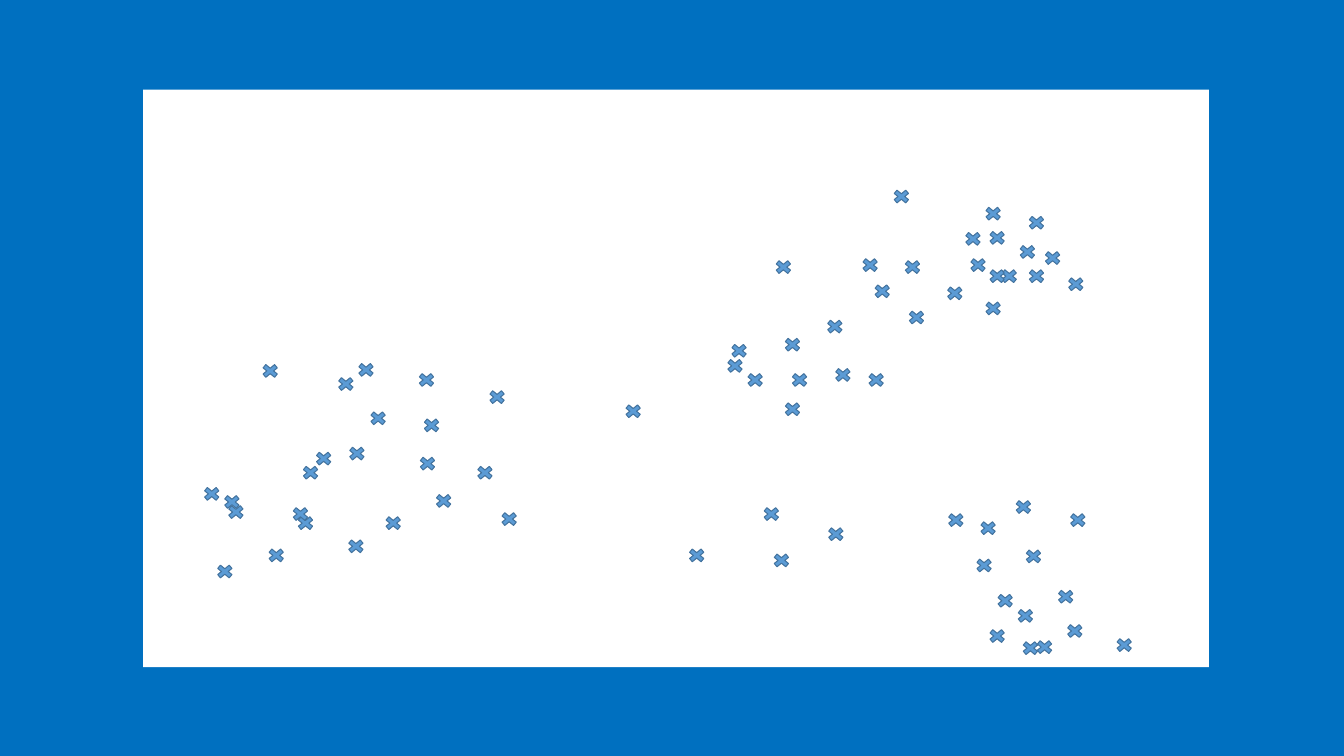
from dataclasses import dataclass

from pptx import Presentation
from pptx.dml.color import RGBColor
from pptx.enum.shapes import MSO_SHAPE
from pptx.util import Inches, Pt

RECTANGLE = MSO_SHAPE.RECTANGLE
CROSS = MSO_SHAPE.MATH_MULTIPLY

SLIDE_SIZE = (13.33, 7.5)
PANEL = (1.42, 0.89, 10.57, 5.73)
CROSS_SIZE = (0.22, 0.18)

# Left and top of each cross, in inches, by cluster
CLUSTERS = {
    "left": [
        (2.12, 5.58), (2.63, 5.42), (2.23, 4.99), (2.92, 5.1), (2.19, 4.89),
        (1.99, 4.81), (3.42, 5.33), (2.87, 5.01), (3.79, 5.1), (2.97, 4.6),
        (2.57, 3.59), (3.43, 4.41), (4.13, 4.51), (3.32, 3.72), (3.1, 4.46),
        (4.82, 3.85), (3.52, 3.58), (4.7, 4.6), (4.29, 4.88), (3.64, 4.06),
        (4.94, 5.06), (4.12, 3.68), (4.17, 4.13),
    ],
    "centre": [
        (7.75, 3.97), (6.17, 3.99), (7.38, 3.68), (8.58, 3.68), (8.25, 3.63),
        (7.75, 3.33), (7.82, 3.68), (7.18, 3.54), (7.22, 3.39), (8.17, 3.15),
    ],
    "upper right": [
        (10.17, 2.12), (9.9, 2.65), (9.54, 2.28), (10.33, 2.47), (10.08, 2.41),
        (9.74, 2.03), (9.78, 2.27), (9.59, 2.54), (10.17, 2.65), (10.56, 2.73),
        (9.78, 2.65), (8.94, 2.56), (9.36, 2.82), (8.83, 1.86), (8.52, 2.54),
        (8.64, 2.8), (8.98, 3.06), (9.74, 2.97), (7.66, 2.56),
    ],
    "lower centre": [
        (6.8, 5.42), (7.54, 5.01), (8.18, 5.21), (7.64, 5.47),
    ],
    "lower right": [
        (9.86, 5.87), (10.55, 6.17), (9.78, 6.22), (10.11, 6.34), (10.25, 6.33),
        (11.04, 6.31), (10.06, 6.02), (10.46, 5.83), (10.14, 5.43), (10.58, 5.07),
        (9.65, 5.52), (9.37, 5.07), (9.69, 5.15), (10.04, 4.94),
    ],
}


@dataclass(frozen=True)
class Theme:
    background: str = "0070C0"
    panel: str = "FFFFFF"
    cross: str = "5B9BD5"
    outline: str = "43739E"
    outline_width: float = 0.75


THEME = Theme()


def add_filled_shape(page, kind, box, fill, outline=None):
    shape = page.shapes.add_shape(kind, *map(Inches, box))
    shape.shadow.inherit = False
    shape.fill.solid()
    shape.fill.fore_color.rgb = RGBColor.from_string(fill)
    if outline:
        shape.line.color.rgb = RGBColor.from_string(outline)
        shape.line.width = Pt(THEME.outline_width)
    else:
        shape.line.fill.background()


def main():
    deck = Presentation()
    deck.slide_width, deck.slide_height = map(Inches, SLIDE_SIZE)
    page = deck.slides.add_slide(deck.slide_layouts[6])
    page.background.fill.solid()
    page.background.fill.fore_color.rgb = RGBColor.from_string(THEME.background)

    add_filled_shape(page, RECTANGLE, PANEL, THEME.panel)
    for positions in CLUSTERS.values():
        for position in positions:
            add_filled_shape(page, CROSS, position + CROSS_SIZE, THEME.cross, THEME.outline)

    deck.save("out.pptx")


if __name__ == "__main__":
    main()
